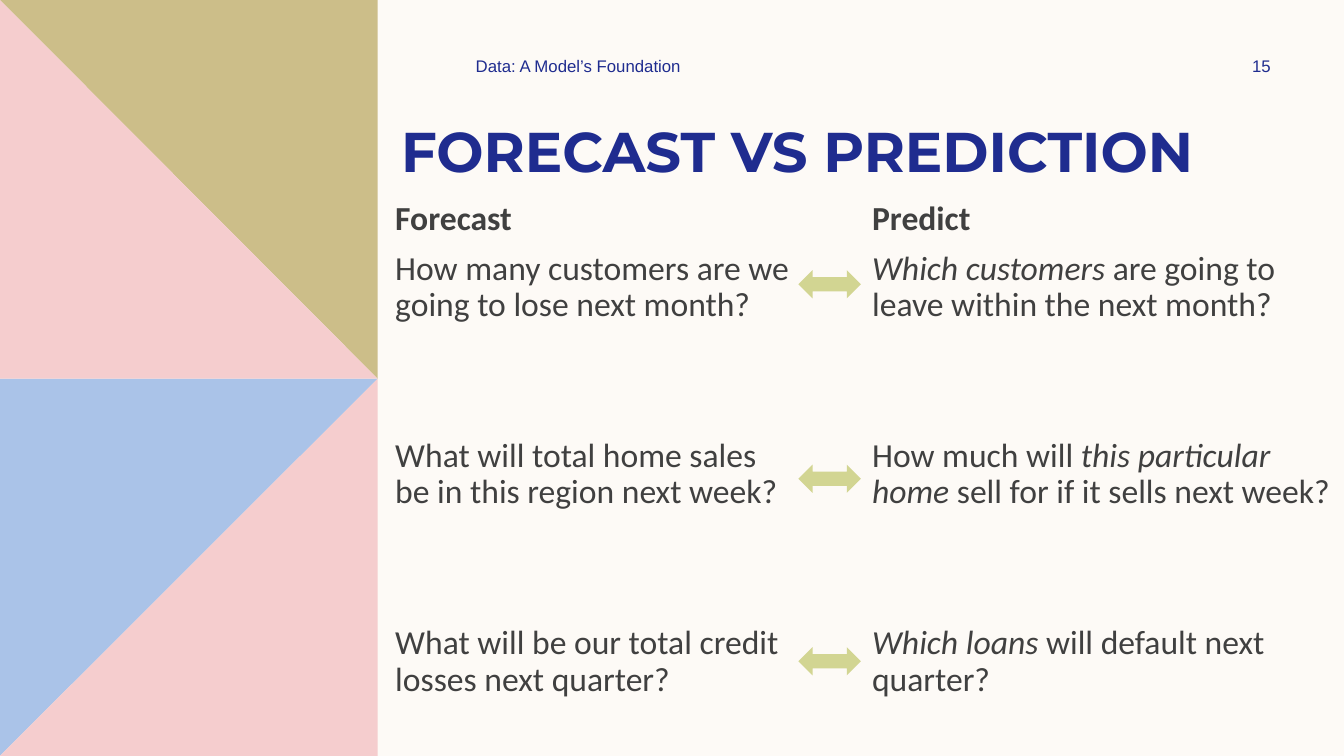
from pptx import Presentation
from pptx.dml.color import RGBColor
from pptx.enum.shapes import MSO_SHAPE
from pptx.enum.text import MSO_ANCHOR, PP_ALIGN
from pptx.util import Inches, Pt

DOUBLE_ARROW = MSO_SHAPE.LEFT_RIGHT_ARROW
TOP, MIDDLE, BOTTOM = MSO_ANCHOR.TOP, MSO_ANCHOR.MIDDLE, MSO_ANCHOR.BOTTOM
LEFT, CENTER = PP_ALIGN.LEFT, PP_ALIGN.CENTER

WIDTH, HEIGHT = Inches(13.33), Inches(7.5)
COLORS = {
    "paper": "FDFAF6", "navy": "1F2C8F", "ink": "404040", "arrow": "D2D592",
    "blue": "AAC3E8", "pink": "F5CDCE", "olive": "CCBE89",
}

# All lengths below are percentages of the slide's width or height.
PANEL_RIGHT, PANEL_MIDDLE = 28.1, 50.1
HEADING_TOP, HEADING_HEIGHT = 26.7, 5.2
QUESTIONS_TOP, QUESTIONS_HEIGHT = 33.2, 64.5
ARROW_LEFT, ARROW_WIDTH, ARROW_HEIGHT = 59.41, 4.65, 3.73
ARROW_TOPS = (35.73, 61.47, 85.6)
QUESTION_GAP = 82  # points

# Each question is a list of (text, italic) spans.
COLUMNS = [
    ("Forecast", 29.41, 29.93, [
        [("How many customers are we going to lose next month?", False)],
        [("What will total home sales be in this region next week?", False)],
        [("What will be our total credit losses next quarter?", False)],
    ]),
    ("Predict", 64.89, 35.26, [
        [("Which customers", True),
         (" are going to leave within the next month?", False)],
        [("How much will ", False), ("this particular home", True),
         (" sell for if it sells next week?", False)],
        [("Which loans", True), (" will default next quarter?", False)],
    ]),
]


def color(name):
    return RGBColor.from_string(COLORS[name])


def across(percent):
    return round(WIDTH * percent / 100)


def down(percent):
    return round(HEIGHT * percent / 100)


def place(left, top, width, height):
    return across(left), down(top), across(width), down(height)


def paint(shape, fill):
    shape.fill.solid()
    shape.fill.fore_color.rgb = color(fill)
    shape.line.fill.background()
    shape.shadow.inherit = False


def add_triangle(page, corners, fill):
    points = [(across(x), down(y)) for x, y in corners]
    builder = page.shapes.build_freeform(*points[0])
    builder.add_line_segments(points[1:], close=True)
    paint(builder.convert_to_shape(), fill)


def add_arrow(page, top):
    area = place(ARROW_LEFT, top, ARROW_WIDTH, ARROW_HEIGHT)
    paint(page.shapes.add_shape(DOUBLE_ARROW, *area), "arrow")


def add_text(page, area, paragraphs, *, font, size, ink, bold=False,
             anchor=TOP, align=LEFT, inset=True, line_spacing=1.0, gap=0):
    """Add a text box; each paragraph is a list of (text, italic) spans."""
    box = page.shapes.add_textbox(*place(*area))
    frame = box.text_frame
    frame.word_wrap = True
    frame.vertical_anchor = anchor
    if not inset:
        frame.margin_left = frame.margin_right = 0
        frame.margin_top = frame.margin_bottom = 0
    for index, spans in enumerate(paragraphs):
        para = frame.add_paragraph() if index else frame.paragraphs[0]
        para.alignment = align
        para.line_spacing = line_spacing
        para.space_before = Pt(gap if index else 0)
        for text, italic in spans:
            span = para.add_run()
            span.text = text
            span.font.name = font
            span.font.size = Pt(size)
            span.font.bold = bold
            span.font.italic = italic
            span.font.color.rgb = color(ink)


def add_side_panel(page):
    right, middle = PANEL_RIGHT, PANEL_MIDDLE
    hub = (right, middle)
    add_triangle(page, [(0, middle), hub, (0, 100)], "blue")
    add_triangle(page, [hub, (right, 100), (0, 100)], "pink")
    add_triangle(page, [(0, 0), (right, 0), hub], "olive")
    add_triangle(page, [(0, 0), hub, (0, middle)], "pink")


def add_header(page):
    small = {"font": "Arial", "size": 12, "ink": "navy", "anchor": MIDDLE}
    add_text(page, (29.11, 13.73, 71.57, 11.2),
             [[("FORECAST VS PREDICTION", False)]],
             font="Montserrat", size=40, ink="navy", bold=True, anchor=BOTTOM)
    add_text(page, (34.66, 6.67, 26.26, 4),
             [[("Data: A Model’s Foundation", False)]], **small)
    add_text(page, (89.8, 6.67, 8.1, 4), [[("15", False)]],
             align=CENTER, **small)


def add_column(page, heading, left, width, questions):
    body = {"font": "Calibri", "size": 24, "ink": "ink", "inset": False,
            "line_spacing": 0.9}
    add_text(page, (left, HEADING_TOP, width, HEADING_HEIGHT),
             [[(heading, False)]], bold=True, **body)
    add_text(page, (left, QUESTIONS_TOP, width, QUESTIONS_HEIGHT),
             questions, gap=QUESTION_GAP, **body)


def main():
    deck = Presentation()
    deck.slide_width, deck.slide_height = WIDTH, HEIGHT
    page = deck.slides.add_slide(deck.slide_layouts[6])
    page.background.fill.solid()
    page.background.fill.fore_color.rgb = color("paper")
    add_side_panel(page)
    add_header(page)
    for column in COLUMNS:
        add_column(page, *column)
    for top in ARROW_TOPS:
        add_arrow(page, top)
    deck.save("out.pptx")


if __name__ == "__main__":
    main()
